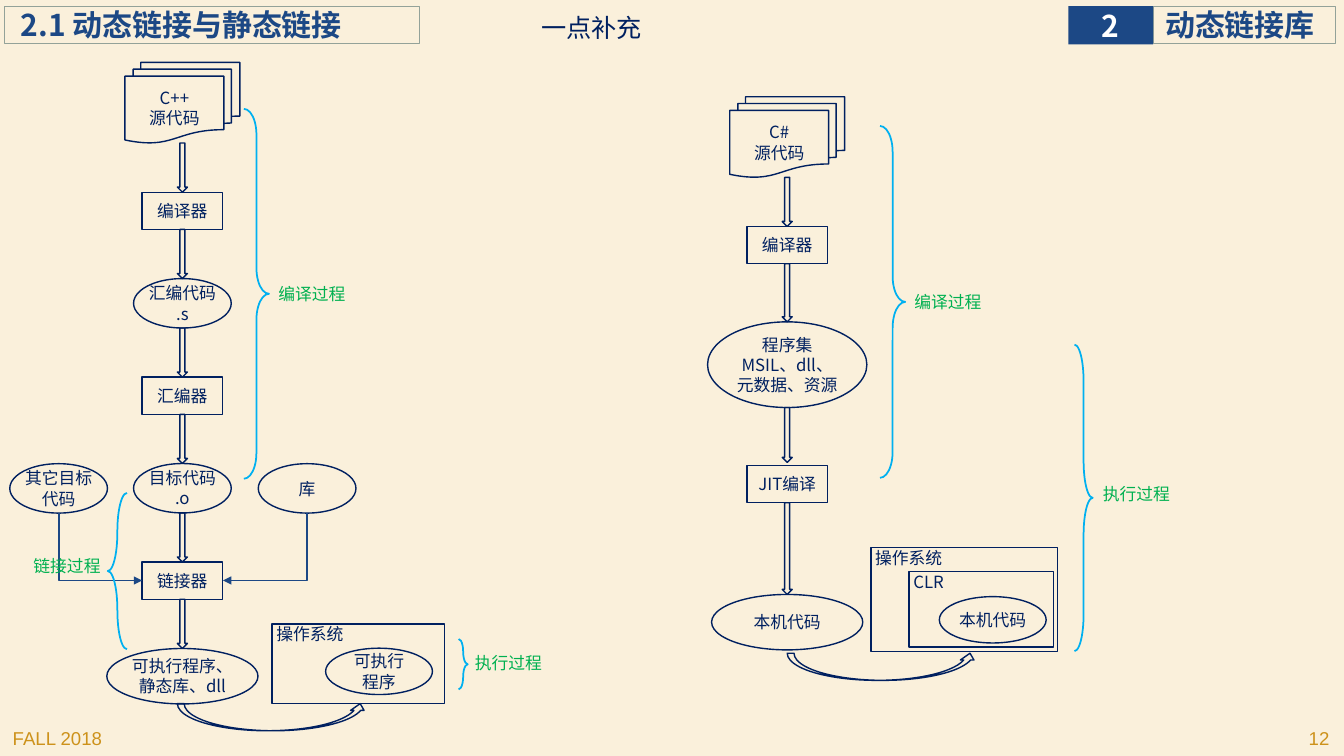
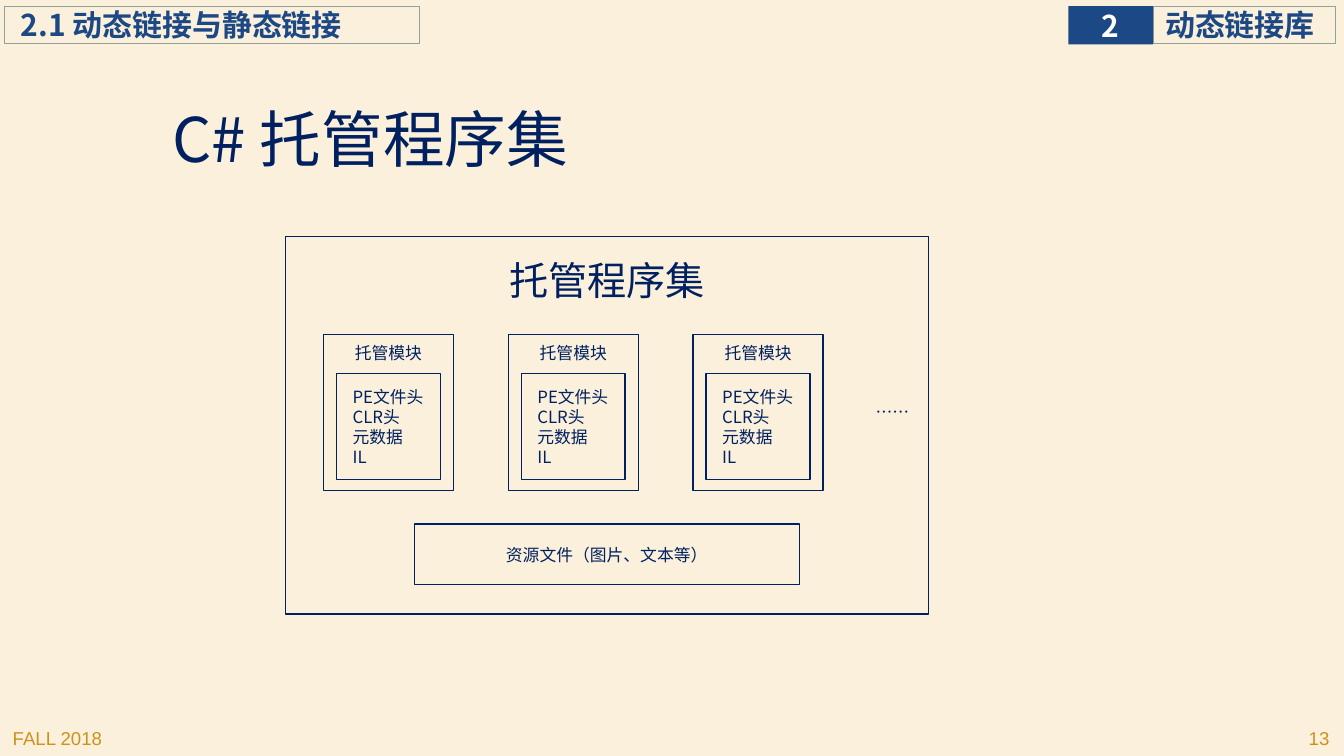
from typing import NamedTuple

from lxml.etree import SubElement
from pptx import Presentation
from pptx.dml.color import RGBColor
from pptx.enum.shapes import MSO_CONNECTOR, MSO_SHAPE
from pptx.enum.text import MSO_ANCHOR, PP_ALIGN
from pptx.oxml.ns import qn
from pptx.shapes.autoshape import Shape
from pptx.slide import Slide
from pptx.util import Pt

COLORS = {
    "background": "FAF0DB",
    "navy": "002060",
    "blue": "1C4885",
    "border": "93A299",
    "gold": "CD921B",
    "cyan": "00B0F0",
    "green": "00B050",
    "white": "FFFFFF",
}
CJK_FONT = "Noto Sans CJK SC"
ARROW_WIDTH = 7.2
PROCESS_SIZE = (57.6, 26.6)
PRODUCT_SIZE = (69.8, 35.3)
OUTPUT_SIZE = (108, 39.6)
RUNNING_SIZE = (76.3, 33.1)
LABEL_SIZE = (91.4, 21.6)


class Box(NamedTuple):
    left: float
    top: float
    width: float
    height: float


class Step(NamedTuple):
    """One stage of a build chain; arrow is the length of the arrow after it."""
    text: str
    kind: MSO_SHAPE
    size: tuple[float, float]
    arrow: float = 35.1
    slack: float = 0


class Brace(NamedTuple):
    box: Box
    curve: float
    text: str
    label_left: float
    label_top: float
    opens_left: bool = True


class Host(NamedTuple):
    """A frame named after the system that runs what it contains."""
    text: str
    box: Box


CPP_STEPS = [
    Step("C++\n源代码", MSO_SHAPE.FLOWCHART_MULTIDOCUMENT, (82.1, 57.6)),
    Step("编译器", MSO_SHAPE.RECTANGLE, PROCESS_SIZE),
    Step("汇编代码\n.s", MSO_SHAPE.OVAL, PRODUCT_SIZE),
    Step("汇编器", MSO_SHAPE.RECTANGLE, PROCESS_SIZE),
    Step("目标代码\n.o", MSO_SHAPE.OVAL, PRODUCT_SIZE),
    Step("链接器", MSO_SHAPE.RECTANGLE, PROCESS_SIZE),
    Step("可执行程序、静态库、dll", MSO_SHAPE.OVAL, OUTPUT_SIZE, 0),
]
CSHARP_STEPS = [
    Step("C#\n源代码", MSO_SHAPE.FLOWCHART_MULTIDOCUMENT, (82.1, 57.6)),
    Step("编译器", MSO_SHAPE.RECTANGLE, PROCESS_SIZE, 41.5),
    Step("程序集\nMSIL、dll、\n元数据、资源", MSO_SHAPE.OVAL, (113.8, 61.2), 39.2, 2.2),
    Step("JIT编译", MSO_SHAPE.RECTANGLE, PROCESS_SIZE, 65.5),
    Step("本机代码", MSO_SHAPE.OVAL, OUTPUT_SIZE, 0),
]
BRACES = [
    Brace(Box(174.2, 77.8, 18, 264.2), 1.02, "编译过程", 177.1, 199.4),
    Brace(Box(77, 352.1, 13.7, 111.6), 2, "链接过程", 2.2, 393.1, opens_left=False),
    Brace(Box(327.6, 456.5, 6.5, 36), 2, "执行过程", 317.5, 463),
    Brace(Box(628.6, 90, 18, 251.3), 1.02, "编译过程", 631.4, 205.2),
    Brace(Box(767.5, 246.2, 13, 218.9), 2, "执行过程", 766.1, 342),
]
HOSTS = [
    Host("操作系统", Box(194.4, 445.7, 123.1, 56.9)),
    Host("操作系统", Box(622.1, 391, 133.2, 74.2)),
    Host("CLR", Box(649.4, 408.2, 103, 54)),
]


def rgb(name: str) -> RGBColor:
    return RGBColor.from_string(COLORS[name])


def set_text(
    shape: Shape,
    text: str,
    *,
    size: float = 12,
    color: str = "navy",
    bold: bool = False,
    font: str = CJK_FONT,
    align: PP_ALIGN = PP_ALIGN.CENTER,
    anchor: MSO_ANCHOR = MSO_ANCHOR.MIDDLE,
    inset: tuple[float, float, float, float] = (0, 0, 0, 0),
    line_spacing: float | None = None,
) -> None:
    """Fill a shape with one paragraph per line; inset is left, top, right, bottom."""
    frame = shape.text_frame
    frame.word_wrap = True
    frame.vertical_anchor = anchor
    frame.margin_left, frame.margin_top, frame.margin_right, frame.margin_bottom = map(Pt, inset)
    for index, line in enumerate(text.split("\n")):
        paragraph = frame.paragraphs[0] if index == 0 else frame.add_paragraph()
        paragraph.alignment = align
        if line_spacing:
            paragraph.line_spacing = line_spacing
        run = paragraph.add_run()
        run.text = line
        run.font.size = Pt(size)
        run.font.bold = bold
        run.font.name = font
        run.font.color.rgb = rgb(color)
        SubElement(run.font._element, qn("a:ea"), typeface=font)


def add_outline(
    slide: Slide,
    kind: MSO_SHAPE,
    box: Box,
    text: str = "",
    *,
    line: str | None = "navy",
    weight: float = 1,
    fill: str | None = None,
    **text_format,
) -> Shape:
    shape = slide.shapes.add_shape(kind, *map(Pt, box))
    shape.shadow.inherit = False
    if fill:
        shape.fill.solid()
        shape.fill.fore_color.rgb = rgb(fill)
    else:
        shape.fill.background()
    if line:
        shape.line.color.rgb = rgb(line)
        shape.line.width = Pt(weight)
    else:
        shape.line.fill.background()
    if text:
        set_text(shape, text, **text_format)
    return shape


def add_label(slide: Slide, box: Box, text: str, **text_format) -> None:
    label_format = {"anchor": MSO_ANCHOR.TOP, "inset": (7.2, 3.6, 7.2, 3.6)} | text_format
    set_text(slide.shapes.add_textbox(*map(Pt, box)), text, **label_format)


def add_chain(slide: Slide, center: float, top: float, steps: list[Step]) -> None:
    """Stack the steps around one vertical axis, joined by block arrows."""
    for step in steps:
        width, height = step.size
        add_outline(slide, step.kind, Box(center - width / 2, top, width, height), step.text)
        top += height
        if step.arrow:
            arrow_box = Box(center - ARROW_WIDTH / 2, top, ARROW_WIDTH, step.arrow)
            add_outline(slide, MSO_SHAPE.DOWN_ARROW, arrow_box)
        top += step.arrow + step.slack


def add_brace(slide: Slide, brace: Brace) -> None:
    shape = add_outline(slide, MSO_SHAPE.LEFT_BRACE, brace.box, line="cyan", weight=1.25)
    shape.adjustments[0] = brace.curve
    shape.adjustments[1] = 0.5
    if brace.opens_left:
        shape._element.spPr.find(qn("a:xfrm")).set("flipH", "1")
    label_box = Box(brace.label_left, brace.label_top, *LABEL_SIZE)
    add_label(slide, label_box, brace.text, color="green")


def add_elbow(slide: Slide, start: tuple[float, float], end: tuple[float, float]) -> None:
    """Draw an arrow that goes down from start, then sideways to end."""
    across, down = abs(end[0] - start[0]), end[1] - start[1]
    left = (start[0] + end[0] - down) / 2
    top = (start[1] + end[1] - across) / 2
    elbow = slide.shapes.add_connector(
        MSO_CONNECTOR.ELBOW, Pt(left), Pt(top), Pt(left + down), Pt(top + across)
    )
    elbow.line.color.rgb = rgb("blue")
    elbow.line.width = Pt(1.25)
    properties = elbow._element.spPr
    properties.find(qn("a:prstGeom")).set("prst", "bentConnector2")
    transform = properties.find(qn("a:xfrm"))
    if end[0] > start[0]:
        transform.set("rot", str(270 * 60000))
        transform.set("flipH", "1")
    else:
        transform.set("rot", str(90 * 60000))
    SubElement(properties.find(qn("a:ln")), qn("a:tailEnd"), type="triangle")
    SubElement(properties, qn("a:effectLst"))


def add_page(presentation: Presentation, number: int) -> Slide:
    """Add a slide with the shared background, header and footer."""
    slide = presentation.slides.add_slide(presentation.slide_layouts[6])
    slide.background.fill.solid()
    slide.background.fill.fore_color.rgb = rgb("background")
    for left, text, align in ((2, "FALL 2018", PP_ALIGN.LEFT), (756.7, str(number), PP_ALIGN.RIGHT)):
        add_label(slide, Box(left, 515.5, 200, 22), text,
                  size=13.3, color="gold", font="Arial", align=align)
    heading = {"size": 21.4, "bold": True}
    for box, text, indent in (
        (Box(823.7, 4.8, 130.3, 26), "动态链接库", 8.6),
        (Box(3.4, 4.8, 296.6, 26), "2.1 动态链接与静态链接", 11.5),
    ):
        add_outline(slide, MSO_SHAPE.RECTANGLE, box, text, line="border", weight=0.75,
                    color="blue", align=PP_ALIGN.LEFT, inset=(indent, 0, 0, 0), **heading)
    add_outline(slide, MSO_SHAPE.RECTANGLE, Box(763.2, 4.3, 60.5, 27.4), "2",
                line=None, fill="blue", color="white", **heading)
    return slide


def build_process_slide(presentation: Presentation) -> None:
    slide = add_page(presentation, 12)
    add_label(slide, Box(356.4, 5, 132.5, 28.8), "一点补充", size=18)
    add_chain(slide, 130.3, 44.6, CPP_STEPS)
    add_chain(slide, 562.3, 69.1, CSHARP_STEPS)

    width, height = PRODUCT_SIZE
    for left, text, linker_edge in ((7, "其它目标代码", 101.5), (184.5, "库", 159.3)):
        add_outline(slide, MSO_SHAPE.OVAL, Box(left, 331.2, width, height), text)
        add_elbow(slide, (left + width / 2, 331.2 + height), (linker_edge, 414.7))

    for host in HOSTS:
        add_outline(slide, MSO_SHAPE.RECTANGLE, host.box, host.text, align=PP_ALIGN.LEFT,
                    anchor=MSO_ANCHOR.TOP, inset=(3, 0, 0, 0))
    for left, top, text in ((232.6, 463, "可执行\n程序"), (671, 426.2, "本机代码")):
        add_outline(slide, MSO_SHAPE.OVAL, Box(left, top, *RUNNING_SIZE), text)
    for left, top in ((126.7, 502.6), (562.3, 466.6)):
        add_outline(slide, MSO_SHAPE.CURVED_UP_ARROW, Box(left, top, 135.4, 19.4))
    for brace in BRACES:
        add_brace(slide, brace)


def build_assembly_slide(presentation: Presentation) -> None:
    slide = add_page(presentation, 13)
    add_label(slide, Box(117.4, 74.2, 385.2, 54.7), "C# 托管程序集", size=44,
              align=PP_ALIGN.LEFT, anchor=MSO_ANCHOR.MIDDLE,
              inset=(5.8, 2.9, 5.8, 2.9), line_spacing=0.9)
    add_outline(slide, MSO_SHAPE.RECTANGLE, Box(203.8, 168.8, 459.4, 269.8), "托管程序集",
                size=28, anchor=MSO_ANCHOR.TOP, inset=(0, 14.4, 0, 0))
    for index in range(3):
        left = 231 + 132 * index
        add_outline(slide, MSO_SHAPE.RECTANGLE, Box(left, 239, 93, 111.4), "托管模块",
                    anchor=MSO_ANCHOR.TOP, inset=(0, 5.8, 0, 0))
        add_outline(slide, MSO_SHAPE.RECTANGLE, Box(left + 9.4, 267, 74.2, 75.6),
                    "PE文件头\nCLR头\n元数据\nIL", align=PP_ALIGN.LEFT, inset=(11.5, 0, 0, 0))
    add_label(slide, Box(588.2, 283.7, 98.6, 21.6), "……")
    add_outline(slide, MSO_SHAPE.RECTANGLE, Box(295.9, 374.4, 275, 43.2), "资源文件（图片、文本等）")


def main() -> None:
    presentation = Presentation()
    presentation.slide_width = Pt(960)
    presentation.slide_height = Pt(540)
    build_process_slide(presentation)
    build_assembly_slide(presentation)
    presentation.save("out.pptx")


if __name__ == "__main__":
    main()
